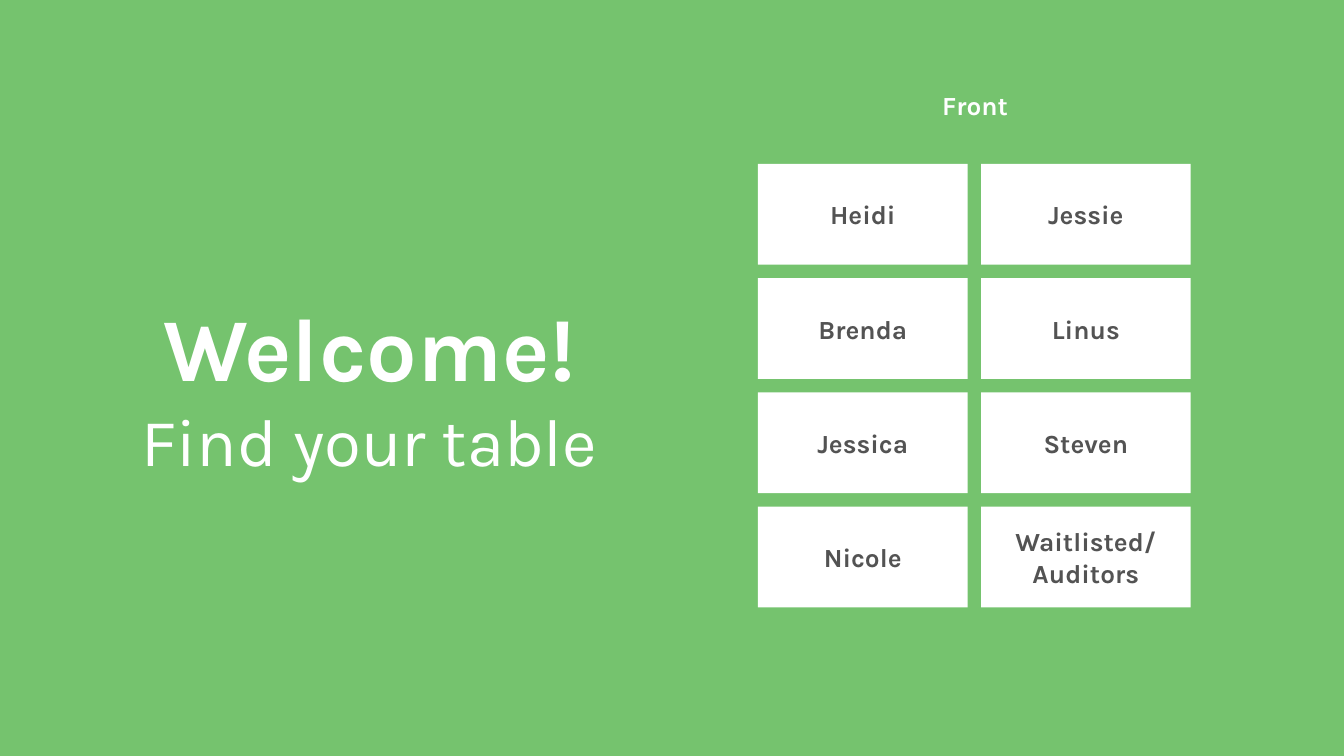
import dataclasses

import pptx
import pptx.dml.color
import pptx.enum.shapes
import pptx.enum.text
import pptx.util

FONT = "Karla"
GREEN, WHITE, GRAY = "75C36E", "FFFFFF", "535353"
SLIDE_WIDTH = 10
SLIDE_HEIGHT = SLIDE_WIDTH * 9 / 16
GRID_LEFT, GRID_TOP = 5.64, 1.22
TABLE_WIDTH, TABLE_HEIGHT = 1.56, 0.75
GAP = 0.1
SEATING = [
    ["Heidi", "Jessie"],
    ["Brenda", "Linus"],
    ["Jessica", "Steven"],
    ["Nicole", "Waitlisted/\nAuditors"],
]


@dataclasses.dataclass
class SeatingTable:
    name: str
    column: int
    row: int

    @property
    def left(self) -> float:
        return GRID_LEFT + self.column * (TABLE_WIDTH + GAP)

    @property
    def top(self) -> float:
        return GRID_TOP + self.row * (TABLE_HEIGHT + GAP)


def color(value: str) -> pptx.dml.color.RGBColor:
    return pptx.dml.color.RGBColor.from_string(value)


def inches(*lengths: float) -> list:
    return [pptx.util.Inches(length) for length in lengths]


def write(shape, text: str, size: float, ink: str, anchor=pptx.enum.text.MSO_ANCHOR.MIDDLE) -> None:
    frame = shape.text_frame
    frame.text = text
    frame.word_wrap = True
    frame.auto_size = pptx.enum.text.MSO_AUTO_SIZE.NONE
    frame.vertical_anchor = anchor
    frame.margin_left = frame.margin_right = pptx.util.Inches(0.1)
    frame.margin_top = frame.margin_bottom = pptx.util.Inches(0.1)
    for paragraph in frame.paragraphs:
        paragraph.alignment = pptx.enum.text.PP_ALIGN.CENTER
        paragraph.font.name = FONT
        paragraph.font.size = pptx.util.Pt(size)
        paragraph.font.bold = True
        paragraph.font.color.rgb = color(ink)


def draw_table(page, table: SeatingTable) -> None:
    box = page.shapes.add_shape(
        pptx.enum.shapes.MSO_SHAPE.RECTANGLE,
        *inches(table.left, table.top, TABLE_WIDTH, TABLE_HEIGHT),
    )
    box.shadow.inherit = False
    box.fill.solid()
    box.fill.fore_color.rgb = color(WHITE)
    box.line.fill.background()
    write(box, table.name, 14, GRAY)


def draw_title(page) -> None:
    title = page.shapes.title
    title.left, title.top, title.width, title.height = inches(0.55, 1.12, 4.4, 3.5)
    write(title, "Welcome!\nFind your table", 48, WHITE)
    subtitle = title.text_frame.paragraphs[1]
    subtitle.font.size = pptx.util.Pt(36)
    subtitle.font.bold = False


def main() -> None:
    deck = pptx.Presentation()
    deck.slide_width, deck.slide_height = inches(SLIDE_WIDTH, SLIDE_HEIGHT)
    page = deck.slides.add_slide(deck.slide_layouts.get_by_name("Title Only"))
    page.background.fill.solid()
    page.background.fill.fore_color.rgb = color(GREEN)

    draw_title(page)
    front = page.shapes.add_textbox(*inches(6.13, 0.5, 2.25, 0.5))
    write(front, "Front", 14, WHITE, pptx.enum.text.MSO_ANCHOR.BOTTOM)
    for row, names in enumerate(SEATING):
        for column, name in enumerate(names):
            draw_table(page, SeatingTable(name, column, row))

    deck.save("out.pptx")


if __name__ == "__main__":
    main()
